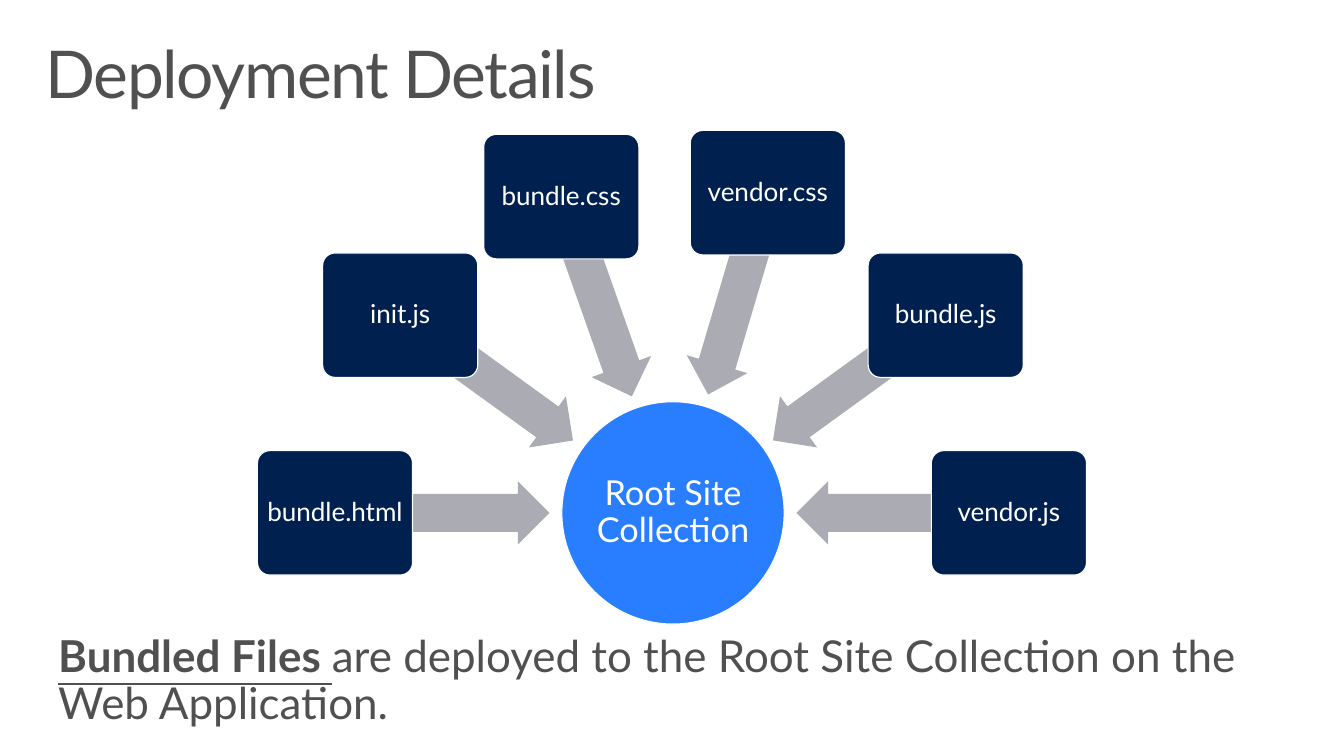
import math
from lxml import etree
from pptx import Presentation
from pptx.dml.color import RGBColor
from pptx.enum import shapes, text
from pptx.util import Inches, Pt

COLORS = {"ink": "505050", "navy": "002050", "blue": "287EFF",
          "gray": "ABACB3", "white": "FFFFFF"}
FONT = "Lato"
KIND = shapes.MSO_SHAPE
FILES = [("bundle.html", -3.42, 0), ("init.js", -2.76, -2),
         ("bundle.css", -1.13, -3.2), ("vendor.css", 0.96, -3.24),
         ("bundle.js", 2.76, -2), ("vendor.js", 3.4, 0)]


def color(name):
    return RGBColor.from_string(COLORS[name])


def write(frame, runs, size, tone, inset, align, anchor):
    frame.word_wrap = True
    frame.auto_size = text.MSO_AUTO_SIZE.NONE
    frame.vertical_anchor = anchor
    frame.margin_left = frame.margin_right = Inches(inset[0])
    frame.margin_top = frame.margin_bottom = Inches(inset[1])
    para = frame.paragraphs[0]
    para.alignment = align
    para.line_spacing = 0.9
    para.space_before = Pt(0)
    for words, strong in runs:
        run = para.add_run()
        run.text = words
        font = run.font
        font.name, font.size = FONT, Pt(size)
        font.bold = font.underline = strong
        font.color.rgb = color(tone)
    return para


def add_node(slide, kind, mid, size, fill, edge=True):
    x, y = mid
    wide, high = size
    node = slide.shapes.add_shape(kind, Inches(x - wide / 2), Inches(y - high / 2),
                                  Inches(wide), Inches(high))
    node.shadow.inherit = False
    node.fill.solid()
    node.fill.fore_color.rgb = color(fill)
    if edge:
        node.line.color.rgb = color("white")
        node.line.width = Pt(0.85)
    else:
        node.line.fill.background()
    return node


def label(node, words, size, inset):
    write(node.text_frame, [(words, False)], size, "white", (inset, inset),
          text.PP_ALIGN.CENTER, text.MSO_ANCHOR.MIDDLE)


def add_title(slide, left, top, wide, high):
    title = slide.shapes.title
    title.left, title.top = Inches(left), Inches(top)
    title.width, title.height = Inches(wide), Inches(high)
    para = write(title.text_frame, [("Deployment Details", False)], 48, "ink",
                 (0.16, 0.1), text.PP_ALIGN.LEFT, text.MSO_ANCHOR.TOP)
    para.runs[0].font._element.set("spc", "-100")


def add_hub(slide, x, y, size):
    hub = add_node(slide, KIND.OVAL, (x, y), (size, size), "blue")
    label(hub, "Root Site Collection", 25, 0.02)
    reach = 2.33
    for name, dx, dy in FILES:
        turn = math.atan2(dy, dx)
        mid = x + reach * math.cos(turn), y + reach * math.sin(turn)
        arrow = add_node(slide, KIND.LEFT_ARROW, mid, (2.16, 0.64), "gray", False)
        arrow.rotation = math.degrees(turn) % 360
        arrow.adjustments[0] = 0.6
        arrow.adjustments[1] = 0.5
        tile = add_node(slide, KIND.ROUNDED_RECTANGLE, (x + dx, y + dy),
                        (1.57, 1.26), "navy")
        tile.adjustments[0] = 0.1
        label(tile, name, 19, 0.04)


def add_note(slide, left, top, wide, high):
    note = slide.shapes.add_textbox(Inches(left), Inches(top),
                                    Inches(wide), Inches(high))
    write(note.text_frame,
          [("Bundled Files ", True),
           ("are deployed to the Root Site Collection on the Web Application.", False)],
          32, "ink", (0.16, 0.1), text.PP_ALIGN.LEFT, text.MSO_ANCHOR.TOP)


def main():
    deck = Presentation()
    deck.slide_width, deck.slide_height = Inches(13.6), Inches(7.65)
    slide = deck.slides.add_slide(deck.slide_layouts[5])
    add_title(slide, 0.3, 0.32, 13, 1)
    add_note(slide, 0.43, 6.32, 12.87, 1.3)
    add_hub(slide, 6.81, 5.19, 2.25)
    deck.save("out.pptx")


if __name__ == "__main__":
    main()
